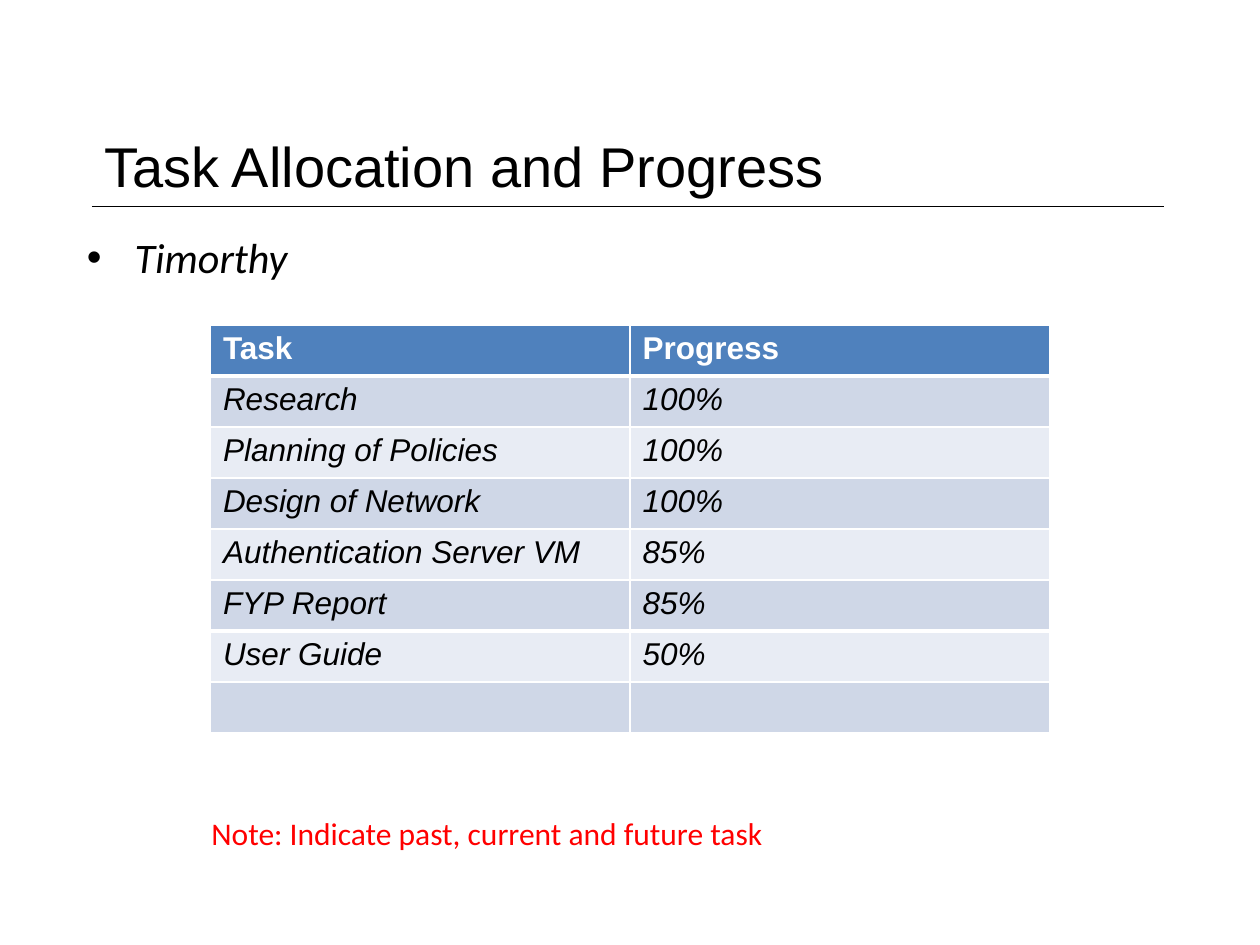
from collections import namedtuple
from lxml.etree import SubElement
from pptx import Presentation
from pptx.dml.color import RGBColor
from pptx.enum.shapes import MSO_CONNECTOR as Connector
from pptx.enum.text import MSO_ANCHOR as Anchor
from pptx.oxml.ns import qn
from pptx.util import Inches, Pt

COLUMNS, ROWS = 100, 75
BLACK, WHITE, RED = "000000", "FFFFFF", "FF0000"
HEADER, BANDS = "4F81BD", ("CFD7E7", "E8ECF4")
TASKS = [
    ("Task", "Progress"),
    ("Research", "100%"),
    ("Planning of Policies", "100%"),
    ("Design of Network", "100%"),
    ("Authentication Server VM", "85%"),
    ("FYP Report", "85%"),
    ("User Guide", "50%"),
    ("", ""),
]
THICK_RULES = (1, 6)

Box = namedtuple("Box", "left top width height")


def color(value):
    return RGBColor.from_string(value)


def grid_box(deck, left, top, width, height):
    column, row = deck.slide_width / COLUMNS, deck.slide_height / ROWS
    return Box(int(left * column), int(top * row), int(width * column), int(height * row))


def add_span(para, text, size, font, ink, bold=False, italic=False):
    span = para.add_run()
    span.text = text
    span.font.size = Pt(size)
    span.font.name = font
    span.font.bold = bold
    span.font.italic = italic
    span.font.color.rgb = color(ink)


def add_text(page, box, text, size, font, ink, anchor=Anchor.TOP, italic=False):
    frame = page.shapes.add_textbox(*box).text_frame
    frame.word_wrap = True
    frame.vertical_anchor = anchor
    para = frame.paragraphs[0]
    add_span(para, text, size, font, ink, italic=italic)
    return para


def add_title(page, box):
    bottom = box.top + box.height
    rule = page.shapes.add_connector(
        Connector.STRAIGHT, box.left, bottom, box.left + box.width, bottom
    )
    rule.line.color.rgb = color(BLACK)
    rule.line.width = Pt(0.75)
    SubElement(rule._element.spPr, qn("a:effectLst"))
    add_text(page, box, "Task Allocation and Progress", 32, "Arial", BLACK, Anchor.MIDDLE)


def add_member(page, box):
    para = add_text(page, box, "Timorthy", 24, "Calibri", BLACK, italic=True)
    indent = Inches(0.38)
    properties = para._p.get_or_add_pPr()
    properties.set("marL", str(indent))
    properties.set("indent", str(-indent))
    bullet_color = SubElement(properties, qn("a:buClr"))
    SubElement(bullet_color, qn("a:srgbClr"), val=BLACK)
    SubElement(properties, qn("a:buFont"), typeface="Arial")
    SubElement(properties, qn("a:buChar"), char="•")


def add_borders(cell, top, bottom):
    properties = cell._tc.get_or_add_tcPr()
    for side, width in (("L", 1), ("R", 1), ("T", top), ("B", bottom)):
        border = SubElement(properties, qn(f"a:ln{side}"), w=str(Pt(width)))
        fill = SubElement(border, qn("a:solidFill"))
        SubElement(fill, qn("a:srgbClr"), val=WHITE)


def add_tasks(page, box):
    table = page.shapes.add_table(len(TASKS), len(TASKS[0]), *box).table
    for index, entries in enumerate(TASKS):
        header = index == 0
        top, bottom = (3 if edge in THICK_RULES else 1 for edge in (index, index + 1))
        for cell, text in zip(table.rows[index].cells, entries):
            add_borders(cell, top, bottom)
            cell.fill.solid()
            cell.fill.fore_color.rgb = color(HEADER if header else BANDS[(index - 1) % 2])
            if text:
                add_span(cell.text_frame.paragraphs[0], text, 18, "Arial",
                         WHITE if header else BLACK, bold=header, italic=not header)


def add_note(page, box):
    add_text(page, box, "Note: Indicate past, current and future task", 18, "Calibri", RED)


def main():
    deck = Presentation()
    deck.slide_width, deck.slide_height = Inches(10), Inches(7.5)
    page = deck.slides.add_slide(deck.slide_layouts[6])
    add_title(page, grid_box(deck, 7.3, 9.8, 85.1, 6.6))
    add_member(page, grid_box(deck, 5.9, 17.9, 85.1, 49.4))
    add_tasks(page, grid_box(deck, 16.7, 25.8, 66.6, 32.4))
    add_note(page, grid_box(deck, 15.8, 64.1, 46.3, 4))
    deck.save("out.pptx")


if __name__ == "__main__":
    main()
